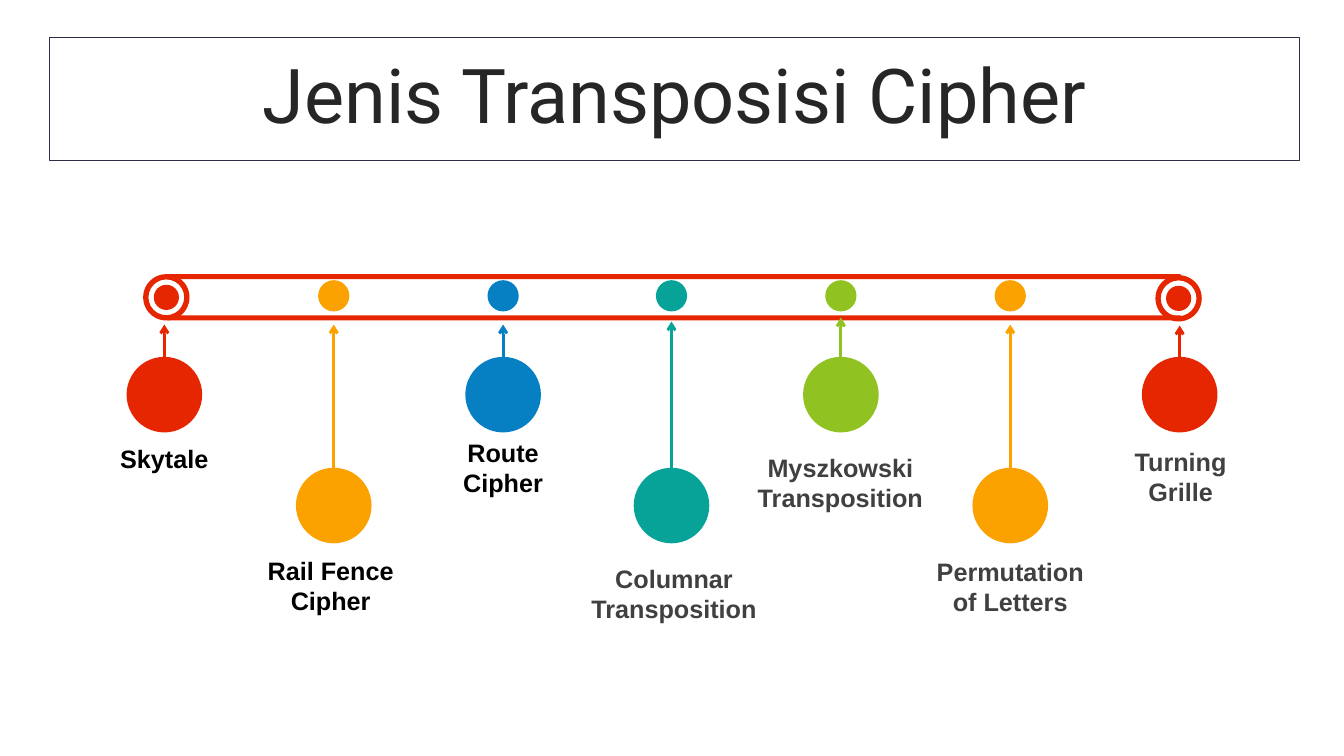
"""Builds the slide on kinds of transposition cipher, set along a timeline."""
from lxml.etree import SubElement
from pptx import Presentation
from pptx.dml.color import RGBColor
from pptx.enum.shapes import MSO_CONNECTOR as CONN, MSO_SHAPE as SHAPE
from pptx.enum.text import MSO_ANCHOR as ANCHOR, PP_ALIGN as ALIGN
from pptx.oxml.ns import qn
from pptx.util import Pt

RED = RGBColor(0xE6, 0x26, 0x01)
ORANGE = RGBColor(0xFB, 0xA2, 0x00)
BLUE = RGBColor(0x06, 0x80, 0xC3)
TEAL = RGBColor(0x07, 0xA3, 0x98)
GREEN = RGBColor(0x90, 0xC2, 0x21)
WHITE = RGBColor(0xFF, 0xFF, 0xFF)
BLACK = RGBColor(0x00, 0x00, 0x00)
GREY = RGBColor(0x40, 0x40, 0x40)
INK = RGBColor(0x26, 0x26, 0x26)
NAVY = RGBColor(0x2C, 0x2F, 0x45)

TITLE = "Jenis Transposisi Cipher"
# name, colour, arrow tip, label box, label colour, space before
CIPHERS = [
    ("Skytale", RED, 322, (78, 435, 170, 40), BLACK, 0),
    ("Rail Fence Cipher", ORANGE, 322, (243, 545, 170, 71), BLACK, 3.6),
    ("Route Cipher", BLUE, 322, (414, 428, 170, 71), BLACK, 3.6),
    ("Columnar Transposition", TEAL, 319, (569, 553, 199, 71), GREY, 0),
    ("Myszkowski Transposition", GREEN, 315, (736, 443, 195, 71), GREY, 0),
    ("Permutation of Letters", ORANGE, 322, (917, 546, 170, 71), GREY, 0),
    ("Turning Grille", RED, 323, (1086, 437, 170, 71), GREY, 0),
]
RING_BOXES = [(142, 272), (1146, 273)]
RAIL_TOPS = [272, 313]
FIRST_X, LAST_X = 163, 1170
CIRCLE_TOPS = [354, 464]
CIRCLE, DOT, DOT_TOP, RING, CORE = 75, 31, 278, 46, 25
PX = 9144


def emu(*lengths):
    return [round(v * PX) for v in lengths]


def add_solid(shapes, kind, box, color):
    s = shapes.add_shape(kind, *emu(*box))
    s.shadow.inherit = False
    s.fill.solid()
    s.fill.fore_color.rgb = color
    s.line.fill.background()
    return s


def write(s, text, font, size, color, bold=False, before=0):
    tf = s.text_frame
    tf.word_wrap = True
    tf.vertical_anchor = ANCHOR.MIDDLE
    tf.text = text
    p = tf.paragraphs[0]
    p.alignment = ALIGN.CENTER
    p.space_before = Pt(before)
    f = p.runs[0].font
    f.name, f.size, f.bold = font, Pt(size), bold
    f.color.rgb = color
    return p


def add_arrow(shapes, circle, x, top, tip, color):
    c = shapes.add_connector(CONN.STRAIGHT, *emu(x, top, x, tip))
    c.begin_connect(circle, 0)
    c.line.color.rgb = color
    c.line.width = Pt(2)
    SubElement(c.line._get_or_add_ln(), qn("a:tailEnd"), type="arrow")
    SubElement(c._element.spPr, qn("a:effectLst"))


def add_title(shapes):
    s = add_solid(shapes, SHAPE.RECTANGLE, (49, 37, 1240, 122), WHITE)
    s.line.color.rgb = NAVY
    s.line.width = Pt(1)
    p = write(s, TITLE, "Roboto", 54, INK, before=10)
    p.line_spacing = 0.9


def add_track(shapes):
    for top in RAIL_TOPS:
        add_solid(shapes, SHAPE.RECTANGLE, (166, top, 1005, 5), RED)
    for left, top in RING_BOXES:
        ring = add_solid(shapes, SHAPE.DONUT, (left, top, RING, RING), RED)
        ring.adjustments[0] = 0.114
        inset = (RING - CORE) / 2
        add_solid(shapes, SHAPE.OVAL, (left + inset, top + inset, CORE, CORE), RED)


def add_ciphers(shapes):
    last = len(CIPHERS) - 1
    for i, (name, color, tip, box, ink, before) in enumerate(CIPHERS):
        x = round(FIRST_X + i * (LAST_X - FIRST_X) / last)
        top = CIRCLE_TOPS[i % 2]
        if 0 < i < last:
            add_solid(shapes, SHAPE.OVAL, (x - DOT / 2, DOT_TOP, DOT, DOT), color)
        circle = add_solid(shapes, SHAPE.OVAL, (x - CIRCLE / 2, top, CIRCLE, CIRCLE), color)
        label = shapes.add_textbox(*emu(*box))
        write(label, name, "Arial", 18, ink, True, before)
        add_arrow(shapes, circle, x, top, tip, color)


def main():
    prs = Presentation()
    prs.slide_width, prs.slide_height = emu(1333, 750)
    shapes = prs.slides.add_slide(prs.slide_layouts[6]).shapes
    add_title(shapes)
    add_track(shapes)
    add_ciphers(shapes)
    prs.save("out.pptx")


if __name__ == "__main__":
    main()
